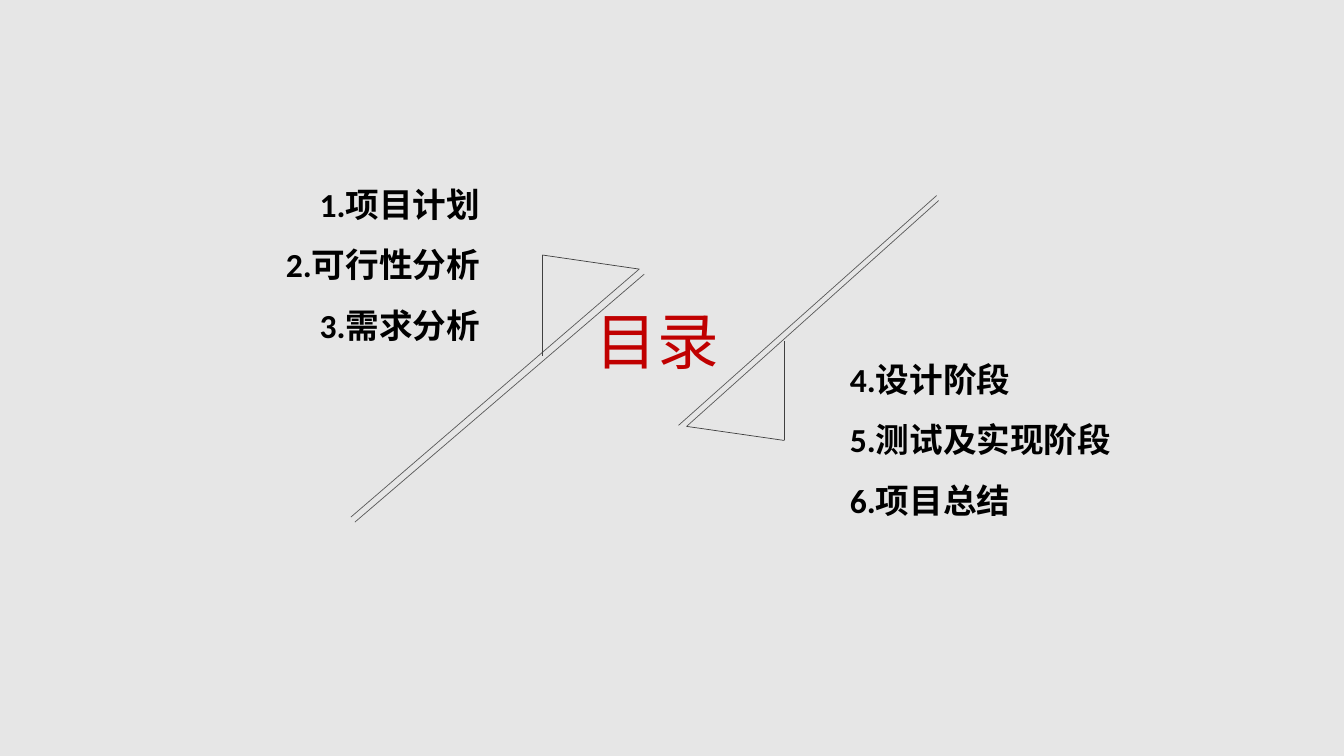
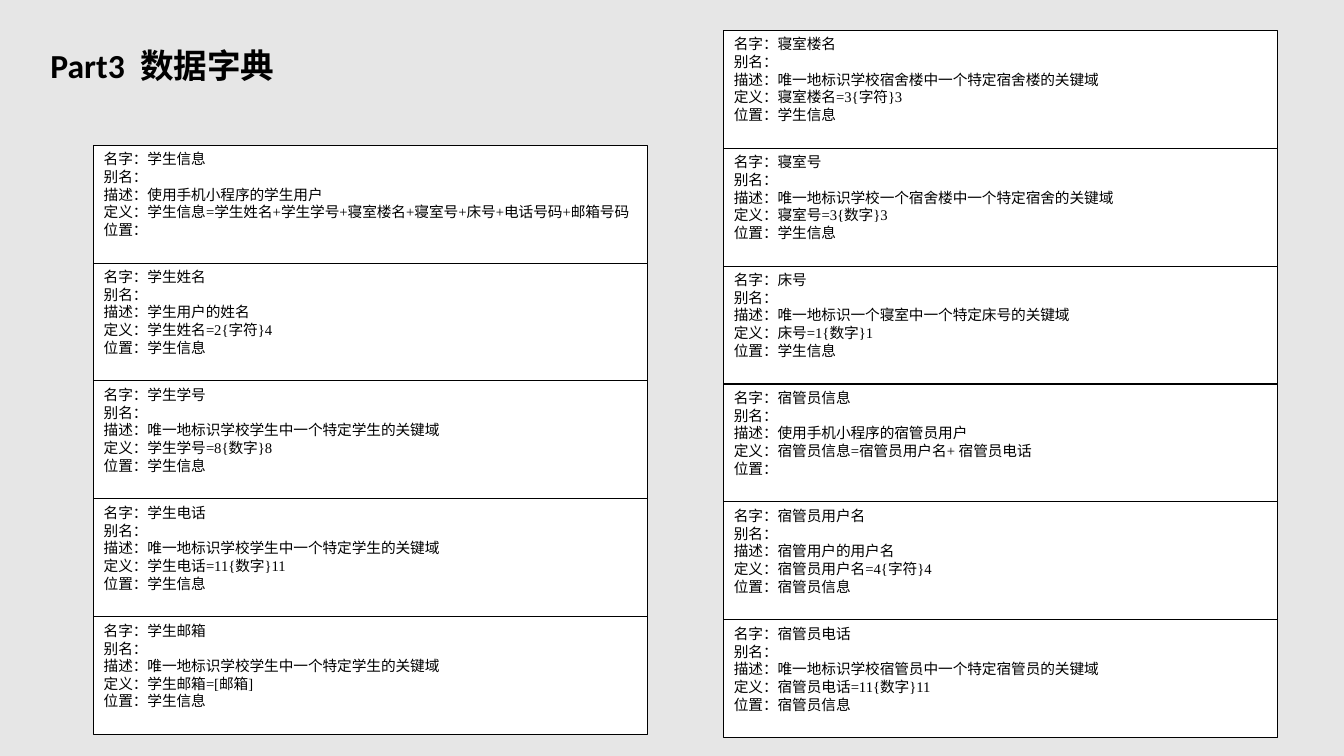
from lxml.etree import SubElement
from pptx import Presentation
from pptx.dml.color import RGBColor
from pptx.enum.shapes import MSO_CONNECTOR, MSO_SHAPE
from pptx.enum.text import MSO_ANCHOR, MSO_AUTO_SIZE, PP_ALIGN
from pptx.oxml.ns import qn
from pptx.util import Inches, Pt

COLOURS = {
    "background": "E6E6E6",
    "text": "000000",
    "accent": "C00000",
    "box": "FFFFFF",
    "long line": "595959",
    "short line": "404040",
}
EAST_ASIAN_FONT = "Noto Sans CJK SC"
HEADING = {"name": "Calibri", "size": Pt(24), "bold": True}
CONTENTS_TITLE = {"name": EAST_ASIAN_FONT, "size": Pt(44), "bold": False}
ENTRY = {"name": "Times New Roman", "size": Pt(10.5), "bold": False}

TITLE_ONLY, TWO_CONTENT = 5, 3
ENTRY_WIDTH, ENTRY_HEIGHT = 5.49, 1.17

LONG_LINES = [
    (3.48, 5.13, 6.34, 2.67),
    (3.52, 5.18, 6.39, 2.72),
    (6.81, 4.23, 9.31, 1.99),
    (6.73, 4.22, 9.29, 1.94),
]
SHORT_LINES = [
    (6.34, 2.67, 5.38, 2.53),
    (5.38, 2.53, 5.38, 3.53),
    (6.81, 4.23, 7.78, 4.37),
    (7.78, 4.37, 7.78, 3.38),
]

# Each entry: name, description, definition, location
STUDENT_ENTRIES = [
    ("学生信息", "使用手机小程序的学生用户",
     "学生姓名+学生学号+寝室楼名+寝室号+床号+电话号码+邮箱号码", ""),
    ("学生姓名", "学生用户的姓名", "2{字符}4", "学生信息"),
    ("学生学号", "唯一地标识学校学生中一个特定学生的关键域", "8{数字}8", "学生信息"),
    ("学生电话", "唯一地标识学校学生中一个特定学生的关键域", "11{数字}11", "学生信息"),
    ("学生邮箱", "唯一地标识学校学生中一个特定学生的关键域", "[邮箱]", "学生信息"),
]
DORMITORY_ENTRIES = [
    ("寝室楼名", "唯一地标识学校宿舍楼中一个特定宿舍楼的关键域", "3{字符}3", "学生信息"),
    ("寝室号", "唯一地标识学校一个宿舍楼中一个特定宿舍的关键域", "3{数字}3", "学生信息"),
    ("床号", "唯一地标识一个寝室中一个特定床号的关键域", "1{数字}1", "学生信息"),
    ("宿管员信息", "使用手机小程序的宿管员用户", "宿管员用户名+ 宿管员电话", ""),
    ("宿管员用户名", "宿管用户的用户名", "4{字符}4", "宿管员信息"),
    ("宿管员电话", "唯一地标识学校宿管员中一个特定宿管员的关键域", "11{数字}11", "宿管员信息"),
]


def colour(name):
    return RGBColor.from_string(COLOURS[name])


class Deck:
    def __init__(self):
        self.presentation = Presentation()
        self.presentation.slide_width = Inches(13.33)
        self.presentation.slide_height = Inches(7.5)
        fill = self.presentation.slide_master.background.fill
        fill.solid()
        fill.fore_color.rgb = colour("background")
        self.slide = None

    def add_slide(self, layout):
        self.slide = self.presentation.slides.add_slide(
            self.presentation.slide_layouts[layout])

    def set_text(self, shape, lines, font, text_colour="text", **paragraph_format):
        """Fill a shape with one unbulleted paragraph per line."""
        frame = shape.text_frame
        frame.word_wrap = True
        frame.auto_size = MSO_AUTO_SIZE.NONE
        frame.vertical_anchor = MSO_ANCHOR.TOP
        frame.text = "\n".join(lines)
        values = {"alignment": PP_ALIGN.LEFT, "space_before": Pt(0), **paragraph_format}
        for paragraph in frame.paragraphs:
            for attribute, value in values.items():
                setattr(paragraph, attribute, value)
            properties = paragraph._p.get_or_add_pPr()
            properties.set("marL", "0")
            properties.set("indent", "0")
            SubElement(properties, qn("a:buNone"))
            for run in paragraph.runs:
                for attribute, value in font.items():
                    setattr(run.font, attribute, value)
                run.font.color.rgb = colour(text_colour)
                SubElement(run._r.get_or_add_rPr(), qn("a:ea"), typeface=EAST_ASIAN_FONT)

    def place(self, shape, left, top, width, height):
        box = {"left": left, "top": top, "width": width, "height": height}
        for attribute, value in box.items():
            setattr(shape, attribute, Inches(value))

    def title(self, text, position, font, text_colour="text"):
        shape = self.slide.shapes.title
        self.place(shape, *position)
        self.set_text(shape, [text], font, text_colour)

    def contents_list(self, index, items, position, alignment):
        shape = self.slide.placeholders[index]
        self.place(shape, *position)
        self.set_text(shape, items, HEADING, alignment=alignment, line_spacing=1.5)

    def line(self, ends, line_colour):
        connector = self.slide.shapes.add_connector(
            MSO_CONNECTOR.STRAIGHT, *(Inches(value) for value in ends))
        connector.line.color.rgb = colour(line_colour)
        connector.line.width = Pt(0.5)
        SubElement(connector._element.spPr, qn("a:effectLst"))

    def entry_column(self, entries, left, top):
        """Stack dictionary entries downwards, edge to edge."""
        for row, (name, description, definition, location) in enumerate(entries):
            shape = self.slide.shapes.add_shape(
                MSO_SHAPE.RECTANGLE, Inches(left), Inches(top + row * ENTRY_HEIGHT),
                Inches(ENTRY_WIDTH), Inches(ENTRY_HEIGHT))
            shape.shadow.inherit = False
            shape.fill.solid()
            shape.fill.fore_color.rgb = colour("box")
            shape.line.color.rgb = colour("text")
            shape.line.width = Pt(0.75)
            lines = [f"名字：{name}", "别名：", f"描述：{description}",
                     f"定义：{name}={definition}", f"位置：{location}"]
            self.set_text(shape, lines, ENTRY, alignment=PP_ALIGN.JUSTIFY)


def build_contents(deck):
    deck.add_slide(TWO_CONTENT)
    deck.title("目录", (5.81, 2.96, 1.48, 0.83), CONTENTS_TITLE, "accent")
    for ends in LONG_LINES:
        deck.line(ends, "long line")
    for ends in SHORT_LINES:
        deck.line(ends, "short line")
    deck.contents_list(1, ["1.项目计划", "2.可行性分析", "3.需求分析"],
                       (2.34, 1.57, 2.52, 1.92), PP_ALIGN.RIGHT)
    deck.contents_list(2, ["4.设计阶段", "5.测试及实现阶段", "6.项目总结"],
                       (8.33, 3.31, 2.96, 1.92), PP_ALIGN.LEFT)


def build_data_dictionary(deck):
    deck.add_slide(TITLE_ONLY)
    deck.title("Part3  数据字典", (0.4, 0.4, 3.79, 0.51), HEADING)
    deck.entry_column(STUDENT_ENTRIES, 0.93, 1.44)
    deck.entry_column(DORMITORY_ENTRIES, 7.18, 0.3)


def main():
    deck = Deck()
    build_contents(deck)
    build_data_dictionary(deck)
    deck.presentation.save("out.pptx")


if __name__ == "__main__":
    main()
